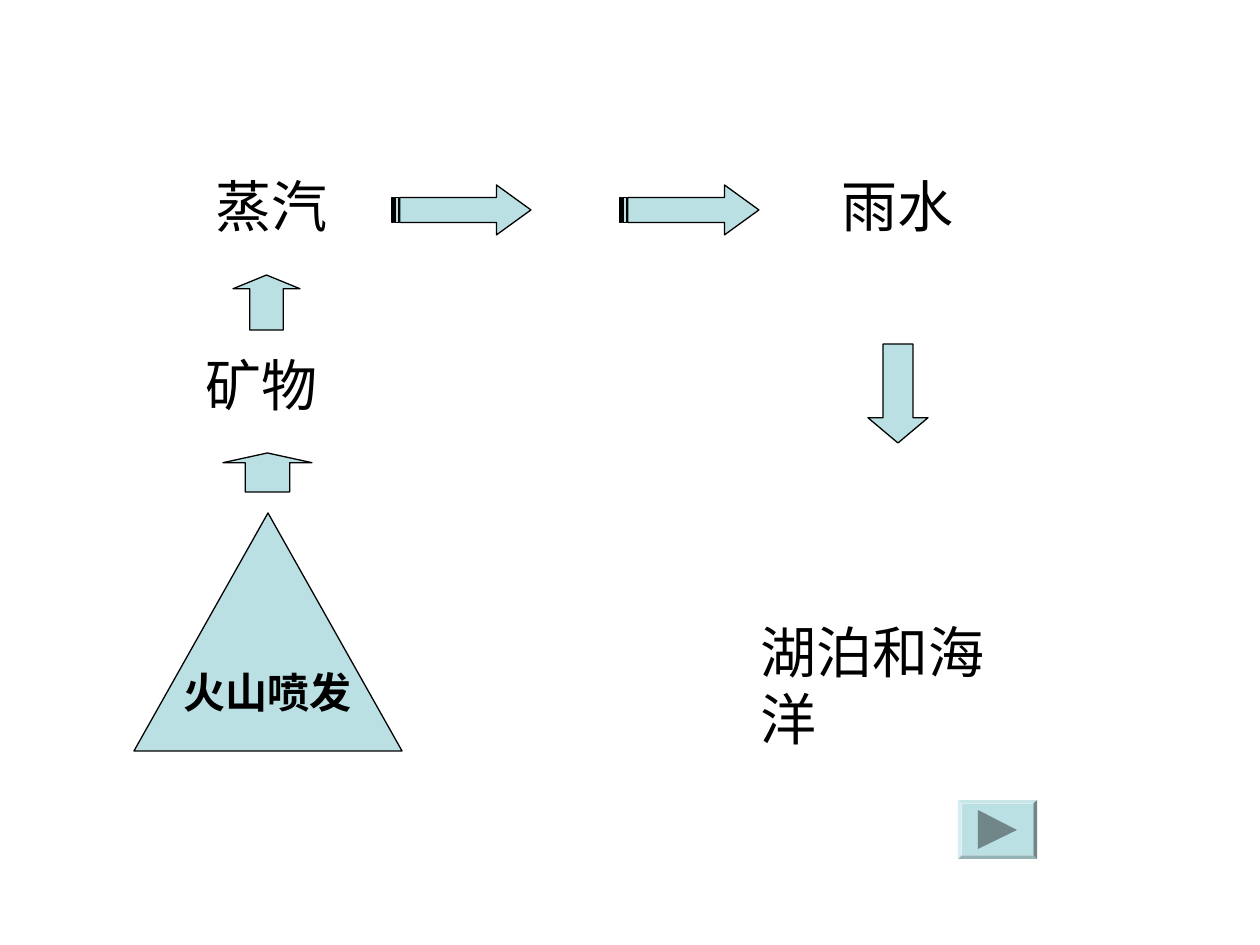
from pptx import Presentation
from pptx.dml.color import RGBColor
from pptx.enum.shapes import MSO_SHAPE
from pptx.enum.text import MSO_ANCHOR, PP_ALIGN
from pptx.util import Emu, Pt

EMU_PER_PX = 914400 / 126
COLORS = {"fill": "BBE0E3", "ink": "000000", "play": "708688"}
FONT = "Arial"
STRIPED = MSO_SHAPE.STRIPED_RIGHT_ARROW
UP = MSO_SHAPE.UP_ARROW
DOWN = MSO_SHAPE.DOWN_ARROW
TRIANGLE = MSO_SHAPE.ISOSCELES_TRIANGLE
BEVEL = MSO_SHAPE.BEVEL
MIDDLE = MSO_ANCHOR.MIDDLE
CENTER = PP_ALIGN.CENTER
LEFT = PP_ALIGN.LEFT


def px(value):
    return Emu(round(value * EMU_PER_PX))


class Painter:
    """Holds the style and the current slide."""

    def __init__(self, page):
        self.page = page

    def paint(self, shape, fill, outlined):
        shape.shadow.inherit = False
        shape.fill.solid()
        shape.fill.fore_color.rgb = RGBColor.from_string(COLORS[fill])
        if outlined:
            shape.line.color.rgb = RGBColor.from_string(COLORS["ink"])
            shape.line.width = Pt(0.75)
        else:
            shape.line.fill.background()

    def add_text(self, frame, text, size, bold=False, align=LEFT):
        para = frame.paragraphs[0]
        para.alignment = align
        span = para.add_run()
        span.text = text
        span.font.name = FONT
        span.font.size = Pt(size)
        span.font.bold = bold
        span.font.color.rgb = RGBColor.from_string(COLORS["ink"])

    def label(self, text, left, top, width, wrap=False):
        box = self.page.shapes.add_textbox(px(left), px(top), px(width), px(81))
        box.text_frame.word_wrap = wrap
        self.add_text(box.text_frame, text, 32)

    def shape(self, kind, left, top, width, height, adjust=(), outlined=True):
        shape = self.page.shapes.add_shape(
            kind, px(left), px(top), px(width), px(height))
        for index, value in enumerate(adjust):
            shape.adjustments[index] = value
        self.paint(shape, "fill", outlined)
        return shape

    def polygon(self, points, fill):
        builder = self.page.shapes.build_freeform(*points[0], scale=EMU_PER_PX)
        builder.add_line_segments(points[1:], close=True)
        self.paint(builder.convert_to_shape(), fill, False)


def main():
    deck = Presentation()
    deck.slide_width, deck.slide_height = px(1260), px(945)
    painter = Painter(deck.slides.add_slide(deck.slide_layouts[6]))

    # Stages of the water cycle
    painter.label("矿物", 193, 344, 154, wrap=True)
    painter.label("蒸汽", 203, 165, 137)
    painter.label("雨水", 829, 165, 137)
    painter.label("湖泊和海洋", 748, 611, 305)

    # Volcano
    volcano = painter.shape(TRIANGLE, 134, 513, 268, 238)
    frame = volcano.text_frame
    frame.word_wrap = False
    frame.vertical_anchor = MIDDLE
    painter.add_text(frame, "火山喷发", 24, bold=True, align=CENTER)

    # Arrows between the stages
    for left in (392, 620):
        painter.shape(STRIPED, left, 185, 139, 50, (0.5, 0.69))
    painter.shape(UP, 223, 453, 89, 39, (0.5, 0.25))
    painter.shape(UP, 233, 275, 67, 55, (0.5, 0.25))
    painter.shape(DOWN, 868, 344, 60, 99, (0.5, 0.42))

    # Forward button
    painter.shape(BEVEL, 958, 800, 79, 59, (0.06,), outlined=False)
    painter.polygon([(978, 810), (1017, 830), (978, 849)], "play")

    deck.save("out.pptx")


if __name__ == "__main__":
    main()
